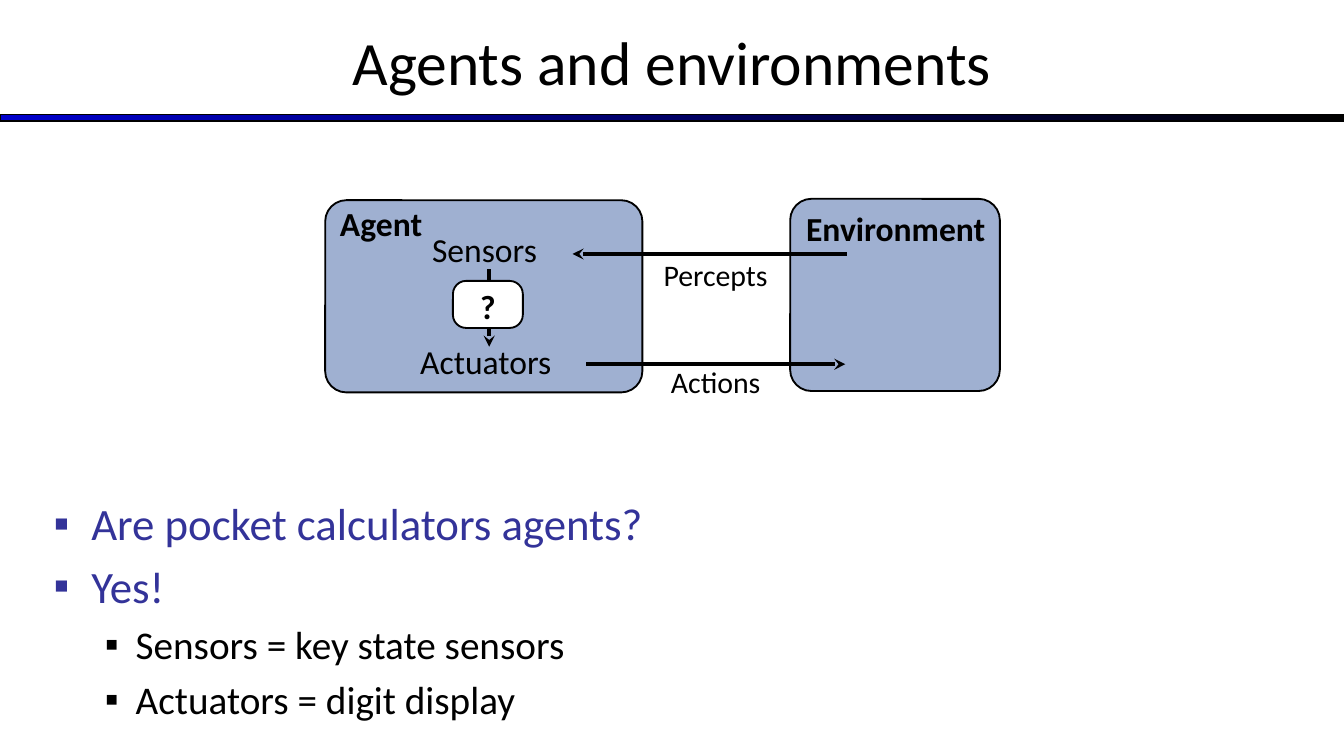
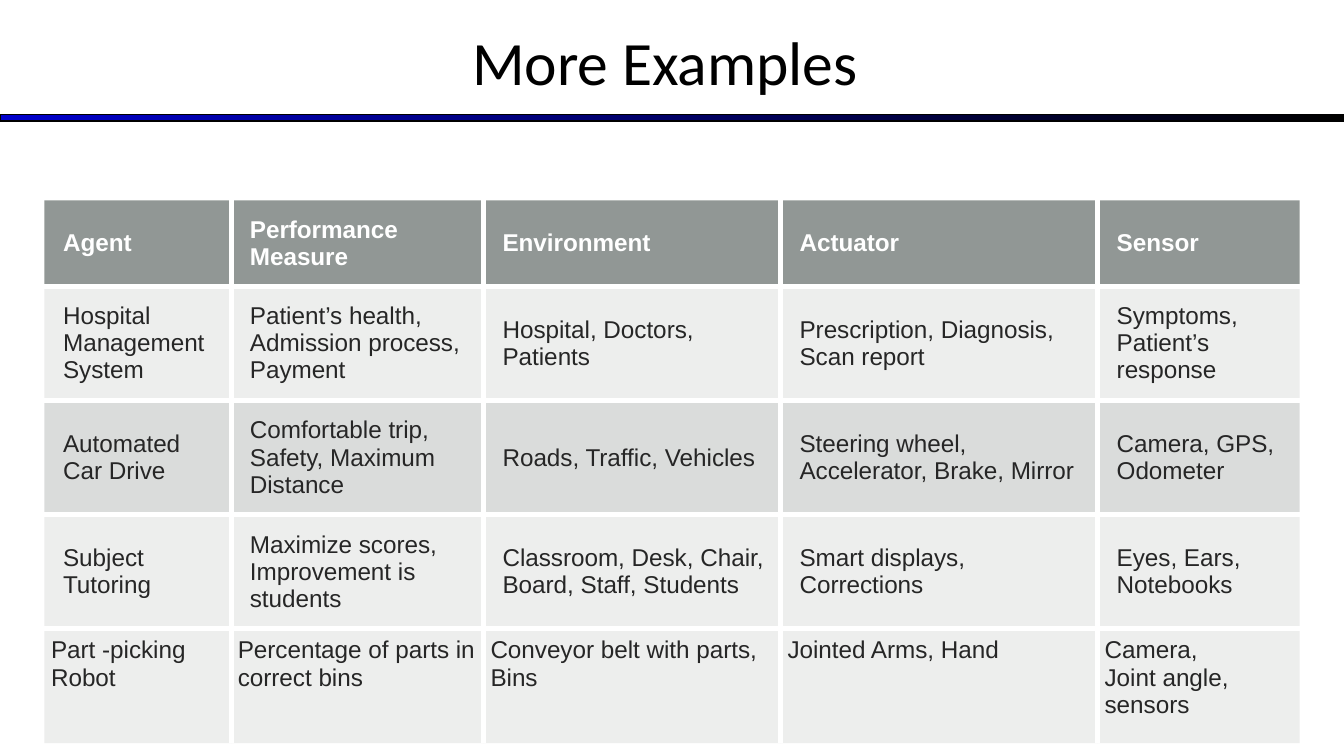
from dataclasses import dataclass
from typing import Any

from lxml import etree
from pptx import Presentation
from pptx.dml.color import RGBColor
from pptx.enum import shapes, text
from pptx.oxml import ns
from pptx.util import Inches, Pt

COLORS = {
    "black": "000000",
    "white": "FFFFFF",
    "band": "0000CC",
    "bullet": "333399",
    "panel": "9FB0D1",
    "header": "636B68",
    "row": "878E8B",
    "cell_text": "262626",
}
TITLE_ONLY = 5
CENTER, LEFT = text.PP_ALIGN.CENTER, text.PP_ALIGN.LEFT
BODY_INSETS = (0.07, 0.04, 0.07, 0.04)
LABEL_INSETS = (0, 0, 0.03, 0)
CELL_INSETS = (0.14, 0.09, 0.09, 0.09)
LAST_ROW_INSETS = (0.05, 0.06, 0.05, 0.06)


@dataclass(frozen=True)
class Box:
    left: float
    top: float
    width: float
    height: float

    def lengths(self) -> list:
        return [Inches(v) for v in (self.left, self.top, self.width, self.height)]


@dataclass(frozen=True)
class Panel:
    box: Box
    corner: float
    fill: str = "panel"


@dataclass(frozen=True)
class Label:
    wording: str
    box: Box
    size: int = 18
    bold: bool = False
    align: Any = CENTER


@dataclass(frozen=True)
class Arrow:
    """A line whose arrowhead sits at (head_x, head_y)."""
    head_x: float
    head_y: float
    tail_x: float
    tail_y: float


@dataclass(frozen=True)
class Bullet:
    wording: str
    level: int = 0


@dataclass(frozen=True)
class BulletStyle:
    margin: float
    hanging: float
    size: int
    color: str


# Slide 1: diagram, drawn from back to front
DIAGRAM = [
    Panel(Box(2.42, 1.49, 2.36, 1.43), 0.11),
    Arrow(3.64, 2.58, 3.64, 2),
    Label("Agent", Box(2.5, 1.51, 0.86, 0.39), bold=True, align=LEFT),
    Panel(Box(3.37, 2.09, 0.52, 0.35), 0.28, "white"),
    Label("?", Box(3.54, 2.13, 0.18, 0.31), bold=True),
    Label("Sensors", Box(3.07, 1.7, 1.07, 0.4)),
    Label("Actuators", Box(3.01, 2.54, 1.21, 0.32)),
    Panel(Box(5.88, 1.48, 1.56, 1.43), 0.11),
    Label("Environment", Box(5.78, 1.55, 1.77, 0.39), bold=True),
    Arrow(4.26, 1.89, 6.3, 1.89),
    Arrow(6.29, 2.71, 4.36, 2.71),
    Label("Percepts", Box(4.81, 1.91, 1.03, 0.29), size=16),
    Label("Actions", Box(4.88, 2.71, 0.89, 0.33), size=16),
]
BULLET_STYLES = [
    BulletStyle(0.28, -0.28, 24, "bullet"),
    BulletStyle(0.61, -0.23, 21, "black"),
]
BULLETS = [
    Bullet("Are pocket calculators agents?"),
    Bullet("Yes!"),
    Bullet("Sensors = key state sensors", 1),
    Bullet("Actuators = digit display", 1),
]

# Slide 2: table
COLUMN_WIDTHS = [1.39, 1.88, 2.21, 2.36, 1.5]
ROW_HEIGHTS = [0.64] + [0.85] * 4
AGENT_ROWS = [
    ["Agent", "Performance Measure", "Environment", "Actuator", "Sensor"],
    ["Hospital Management System", "Patient’s health, Admission process, Payment",
     "Hospital, Doctors, Patients", "Prescription, Diagnosis, Scan report",
     "Symptoms, Patient’s response"],
    ["Automated Car Drive", "Comfortable trip, Safety, Maximum Distance",
     "Roads, Traffic, Vehicles", "Steering wheel, Accelerator, Brake, Mirror",
     "Camera, GPS, Odometer"],
    ["Subject Tutoring", "Maximize scores, Improvement is students",
     "Classroom, Desk, Chair, Board, Staff, Students",
     "Smart displays, Corrections", "Eyes, Ears, Notebooks"],
    ["Part -picking Robot", "Percentage of parts in correct bins",
     "Conveyor belt with parts,\nBins", "Jointed Arms, Hand",
     "Camera,\nJoint angle, sensors"],
]


def rgb(name: str) -> RGBColor:
    return RGBColor.from_string(COLORS[name])


def add_xml(parent: Any, tag: str, **attributes: str) -> Any:
    return etree.SubElement(parent, ns.qn(tag), attributes)


def set_font(para: Any, size: int, color: str, bold: bool = False,
             name: str = "Calibri") -> None:
    font = para.font
    font.name, font.size, font.bold = name, Pt(size), bold
    font.color.rgb = rgb(color)


def set_insets(holder: Any, insets: tuple) -> None:
    (holder.margin_left, holder.margin_top,
     holder.margin_right, holder.margin_bottom) = [Inches(v) for v in insets]


def set_indent(para: Any, margin: float, first: float = 0) -> Any:
    properties = para._p.get_or_add_pPr()
    properties.set("marL", str(Inches(margin)))
    properties.set("indent", str(Inches(first)))
    return properties


# Shared frame: title and gradient band
def add_page(deck: Any, title: str) -> Any:
    page = deck.slides.add_slide(deck.slide_layouts[TITLE_ONLY])
    band = page.shapes.add_shape(shapes.MSO_SHAPE.RECTANGLE,
                                 *Box(0, 0.85, 10, 0.05).lengths())
    band.shadow.inherit = False
    band.fill.gradient()
    band.fill.gradient_angle = 0
    for stop, color, position in zip(band.fill.gradient_stops, ("band", "black"), (0, 1)):
        stop.color.rgb = rgb(color)
        stop.position = position
    band.line.color.rgb = rgb("black")
    band.line.width = Pt(0.75)

    heading = page.shapes.title
    heading.left, heading.top, heading.width, heading.height = \
        Box(0, -0.02, 10, 0.94).lengths()
    frame = heading.text_frame
    frame.text = title
    frame.auto_size = text.MSO_AUTO_SIZE.NONE
    frame.vertical_anchor = text.MSO_ANCHOR.MIDDLE
    set_insets(frame, BODY_INSETS)
    frame.paragraphs[0].alignment = CENTER
    set_font(frame.paragraphs[0], 33, "black")
    return page


# Diagram parts
def add_panel(group: Any, panel: Panel) -> None:
    shape = group.shapes.add_shape(shapes.MSO_SHAPE.ROUNDED_RECTANGLE,
                                   *panel.box.lengths())
    shape.shadow.inherit = False
    shape.adjustments[0] = panel.corner
    shape.fill.solid()
    shape.fill.fore_color.rgb = rgb(panel.fill)
    shape.line.color.rgb = rgb("black")
    shape.line.width = Pt(1)


def add_label(group: Any, label: Label) -> None:
    frame = group.shapes.add_textbox(*label.box.lengths()).text_frame
    frame.word_wrap = True
    set_insets(frame, LABEL_INSETS)
    para = frame.paragraphs[0]
    para.text = label.wording
    para.alignment = label.align
    set_indent(para, 0.03)
    set_font(para, label.size, "black", label.bold)


def add_arrow(group: Any, arrow: Arrow) -> None:
    ends = (arrow.head_x, arrow.head_y, arrow.tail_x, arrow.tail_y)
    connector = group.shapes.add_connector(shapes.MSO_CONNECTOR.STRAIGHT,
                                           *[Inches(v) for v in ends])
    connector.line.color.rgb = rgb("black")
    connector.line.width = Pt(2)
    add_xml(connector.line._get_or_add_ln(), "a:headEnd", type="stealth")
    add_xml(connector._element.spPr, "a:effectLst")


def add_diagram(page: Any) -> None:
    group = page.shapes.add_group_shape()
    draw = {Panel: add_panel, Label: add_label, Arrow: add_arrow}
    for part in DIAGRAM:
        draw[type(part)](group, part)


def add_bullets(page: Any) -> None:
    frame = page.shapes.add_textbox(*Box(0.33, 3.65, 9.67, 1.38).lengths()).text_frame
    frame.word_wrap = True
    set_insets(frame, BODY_INSETS)
    for index, bullet in enumerate(BULLETS):
        para = frame.add_paragraph() if index else frame.paragraphs[0]
        style = BULLET_STYLES[bullet.level]
        para.text = bullet.wording
        para.level = bullet.level
        properties = set_indent(para, style.margin, style.hanging)
        add_xml(add_xml(properties, "a:buClr"), "a:srgbClr", val=COLORS[style.color])
        add_xml(properties, "a:buFont", typeface="Arial")
        add_xml(properties, "a:buChar", char="▪")
        para.space_before = Pt(style.size * 0.2)
        set_font(para, style.size, style.color)


# Table parts
def set_borders(cell: Any, inner: dict) -> None:
    """White lines between cells, none on the table's outer edge."""
    properties = cell._tc.get_or_add_tcPr()
    for position, (side, shown) in enumerate(inner.items()):
        border = etree.Element(ns.qn(f"a:ln{side}"), w=str(Pt(3)))
        if shown:
            add_xml(add_xml(border, "a:solidFill"), "a:srgbClr", val=COLORS["white"])
        else:
            add_xml(border, "a:noFill")
        properties.insert(position, border)


def set_fill(cell: Any, color: str, opacity: int) -> None:
    cell.fill.solid()
    cell.fill.fore_color.rgb = rgb(color)
    tint = cell._tc.tcPr.find(".//" + ns.qn("a:srgbClr"))
    add_xml(tint, "a:alpha", val=str(opacity * 1000))


def add_agent_table(page: Any) -> None:
    last_row, last_column = len(ROW_HEIGHTS) - 1, len(COLUMN_WIDTHS) - 1
    box = Box(0.33, 1.49, sum(COLUMN_WIDTHS), sum(ROW_HEIGHTS))
    table = page.shapes.add_table(last_row + 1, last_column + 1, *box.lengths()).table
    table.first_row = table.horz_banding = False
    for column, width in zip(table.columns, COLUMN_WIDTHS):
        column.width = Inches(width)
    for r, (row, height) in enumerate(zip(table.rows, ROW_HEIGHTS)):
        row.height = Inches(height)
        header, last = r == 0, r == last_row
        for c, cell in enumerate(row.cells):
            cell.text = AGENT_ROWS[r][c]
            set_insets(cell, LAST_ROW_INSETS if last else CELL_INSETS)
            cell.vertical_anchor = text.MSO_ANCHOR.TOP if last else text.MSO_ANCHOR.MIDDLE
            for para in cell.text_frame.paragraphs:
                set_font(para, 13, "white" if header else "cell_text", header, "Arial")
            if header:
                set_fill(cell, "header", 70)
            else:
                set_fill(cell, "row", 30 if r == 2 else 15)
            set_borders(cell, {"L": c > 0, "R": c < last_column, "T": r > 0, "B": not last})


def main() -> None:
    deck = Presentation()
    deck.slide_width = Inches(10)
    deck.slide_height = Inches(10) * 9 // 16

    page = add_page(deck, "Agents and environments")
    add_bullets(page)
    add_diagram(page)

    page = add_page(deck, "More Examples ")
    add_agent_table(page)

    deck.save("out.pptx")


if __name__ == "__main__":
    main()
